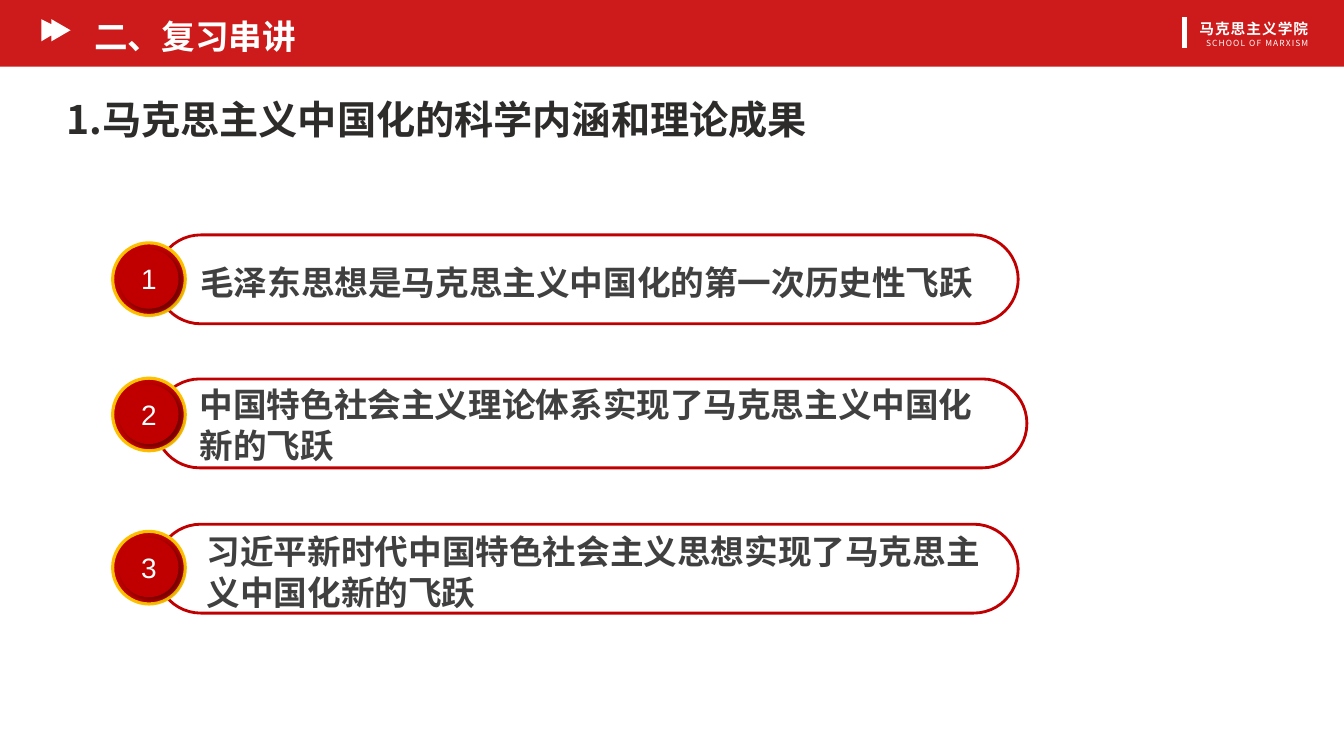
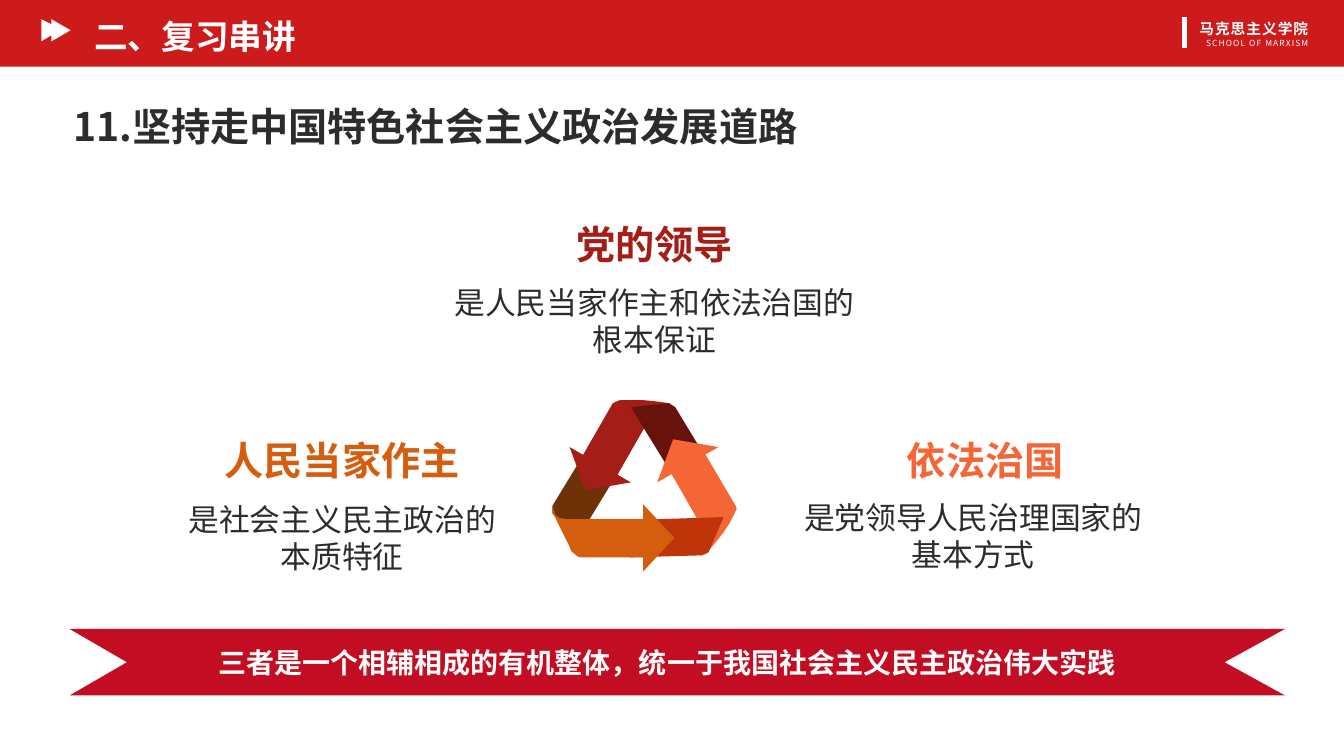
import dataclasses

import lxml.etree
import pptx
import pptx.dml.color
import pptx.enum.shapes
import pptx.enum.text
import pptx.oxml.ns
import pptx.util

Cm = pptx.util.Cm
Pt = pptx.util.Pt
qn = pptx.oxml.ns.qn
SHAPE = pptx.enum.shapes.MSO_SHAPE
ALIGN = pptx.enum.text.PP_ALIGN
ANCHOR = pptx.enum.text.MSO_ANCHOR


@dataclasses.dataclass(frozen=True)
class Theme:
    # Colours
    band: str = "CD1A1A"
    white: str = "FFFFFF"
    ink: str = "2E2B2B"
    item_ink: str = "404040"
    outline: str = "C00000"
    gold: str = "FFC000"
    ribbon: str = "C30D23"
    red: str = "A41D16"
    dark_red: str = "68120E"
    orange: str = "D55D0E"
    brown: str = "6F3107"
    coral: str = "F56637"
    rust: str = "BF3409"
    # Fonts and type sizes
    font: str = "Noto Sans CJK SC"
    number_font: str = "Arial"
    title: int = 28
    section: int = 24
    item: int = 24
    body: int = 22
    summary: int = 20
    number: int = 20
    school: float = 10.5
    school_small: int = 6


THEME = Theme()
# Outline points are counted on a fine grid
GRID = Cm(0.0254)
INSET = (0.25, 0.13)

# Folded arrows of the cycle: tail, arrowhead (left, top, width, height, turn), body, fold
CYCLE = [
    (THEME.brown, [(618, 461), (571, 538), (548, 509), (548, 502), (584, 443)],
     THEME.red, (14.05, 11.66, 1.78, 0.74, 210),
     [(607, 481), (643, 418), (626, 408), (608, 400), (573, 461)],
     [(641, 421), (607, 402), (610, 399), (615, 397), (626, 397), (638, 397),
      (649, 398), (664, 400), (670, 404), (664, 401), (659, 401), (654, 403),
      (649, 408)]),
    (THEME.dark_red, [(674, 482), (626, 404), (663, 400), (670, 404), (707, 465)],
     THEME.coral, (16.26, 11.02, 1.78, 0.74, 330),
     [(661, 461), (697, 524), (714, 514), (730, 502), (694, 441)],
     [(696, 521), (730, 502), (731, 505), (729, 509), (724, 519), (718, 528),
      (711, 537), (701, 549), (695, 552), (701, 548), (704, 542), (705, 539),
      (704, 536)]),
    (THEME.rust, [(626, 516), (718, 513), (703, 548), (696, 551), (625, 553)],
     THEME.orange, (15.75, 13.16, 1.7, 0.79, 90),
     [(651, 515), (574, 515), (574, 535), (576, 553), (651, 553)],
     [(576, 515), (576, 553), (573, 552), (567, 547), (564, 540), (559, 530),
      (554, 520), (548, 507), (548, 503), (549, 500), (549, 505), (551, 511),
      (555, 514), (562, 515)]),
]


def rgb(color):
    return pptx.dml.color.RGBColor.from_string(color)


def apply(target, values):
    for name, value in values.items():
        setattr(target, name, value)


def paint(shape, fill=None, line=None, width=0):
    shape.shadow.inherit = False
    if fill:
        shape.fill.solid()
        shape.fill.fore_color.rgb = rgb(fill)
    else:
        shape.fill.background()
    if line:
        shape.line.color.rgb = rgb(line)
        shape.line.width = Pt(width)
    else:
        shape.line.fill.background()


def add_preset(slide, kind, box, **colors):
    shape = slide.shapes.add_shape(kind, *map(Cm, box))
    paint(shape, **colors)
    return shape


def add_outline(slide, points, fill):
    builder = slide.shapes.build_freeform(*points[0], scale=GRID)
    builder.add_line_segments(points[1:], close=True)
    paint(builder.convert_to_shape(), fill)


def add_paragraph(paragraph, text, size, color, bold=False, font=THEME.font,
                  align=ALIGN.LEFT, spacing=None, tracking=None):
    apply(paragraph, {"alignment": align, "line_spacing": spacing})
    run = paragraph.add_run()
    run.text = text
    apply(run.font, {"size": Pt(size), "bold": bold, "name": font})
    run.font.color.rgb = rgb(color)
    properties = run._r.get_or_add_rPr()
    lxml.etree.SubElement(properties, qn("a:ea"), typeface=font)
    if tracking:
        properties.set("spc", str(tracking))


def add_text(slide, box, *lines, inset=INSET, wrap=True, anchor=ANCHOR.TOP, **style):
    """Each line is a dict of paragraph settings on top of the shared style."""
    frame = slide.shapes.add_textbox(*map(Cm, box)).text_frame
    side, edge = map(Cm, inset)
    apply(frame, {"word_wrap": wrap, "vertical_anchor": anchor,
                  "margin_left": side, "margin_right": side,
                  "margin_top": edge, "margin_bottom": edge})
    for index, line in enumerate(lines):
        paragraph = frame.add_paragraph() if index else frame.paragraphs[0]
        add_paragraph(paragraph, **{**style, **line})


def add_drop_shadow(shape):
    effects = shape._element.spPr.find(qn("a:effectLst"))
    shadow = lxml.etree.SubElement(
        effects, qn("a:outerShdw"), blurRad=str(Pt(4)), dist=str(Pt(3)),
        dir=str(45 * 60000), algn="tl", rotWithShape="0")
    black = lxml.etree.SubElement(shadow, qn("a:srgbClr"), val="000000")
    lxml.etree.SubElement(black, qn("a:alpha"), val="40000")


def add_header(slide):
    # Band with double arrow and section name
    add_preset(slide, SHAPE.RECTANGLE, (0, 0, 33.87, 1.68), fill=THEME.band)
    add_text(slide, (2.13, -0.03, 20.09, 1.45), {"text": "二、复习串讲"},
             size=THEME.section, color=THEME.white, bold=True, spacing=1.3)
    add_outline(slide, [(41, 19), (51, 24), (51, 19), (70, 30), (51, 41), (51, 35),
                        (41, 41)], THEME.white)
    # School name with its rule
    add_text(slide, (27.41, 0.41, 5.79, 0.91),
             {"text": "马克思主义学院", "size": THEME.school, "bold": True},
             {"text": "SCHOOL OF MARXISM", "size": THEME.school_small},
             inset=(0.23, 0.1), color=THEME.white, align=ALIGN.RIGHT, tracking=80)
    rule = slide.shapes.add_connector(
        pptx.enum.shapes.MSO_CONNECTOR.STRAIGHT,
        *map(Cm, (29.85, 0.43, 29.85, 1.22)))
    rule.line.color.rgb = rgb(THEME.white)
    rule.line.width = Pt(3)
    lxml.etree.SubElement(rule._element.spPr, qn("a:effectLst"))


def add_topic_slide(deck, title, title_box):
    slide = deck.slides.add_slide(deck.slide_layouts[6])
    add_header(slide)
    add_text(slide, title_box, {"text": title}, size=THEME.title, color=THEME.ink,
             bold=True, align=ALIGN.CENTER, anchor=ANCHOR.MIDDLE)
    return slide


def add_badge(slide, number, top, left=2.84):
    add_preset(slide, SHAPE.OVAL, (left, top, 1.83, 1.83),
               fill=THEME.outline, line=THEME.gold, width=2.25)
    add_drop_shadow(add_preset(slide, SHAPE.OVAL, (left + 0.16, top + 0.16, 1.5, 1.5),
                               fill=THEME.outline))
    add_text(slide, (left + 0.28, top + 0.48, 1.27, 0.86), {"text": str(number)},
             inset=(0, 0), size=THEME.number, color=THEME.white,
             font=THEME.number_font, align=ALIGN.CENTER)


def add_item(slide, number, text, pill, badge_top, text_box):
    capsule = add_preset(slide, SHAPE.ROUNDED_RECTANGLE, (*pill, 2.24),
                         line=THEME.outline, width=2)
    capsule.adjustments[0] = 0.5
    add_badge(slide, number, badge_top)
    add_text(slide, text_box, {"text": text}, inset=(0, 0), size=THEME.item,
             color=THEME.item_ink, bold=True, align=ALIGN.JUSTIFY)


def add_pillar(slide, heading, color, heading_box, body, body_box):
    add_text(slide, (*heading_box, 1.45), {"text": heading}, wrap=False,
             size=THEME.title, color=color, bold=True, align=ALIGN.CENTER)
    add_text(slide, (*body_box, 2.13), {"text": body}, size=THEME.body,
             color=THEME.ink, align=ALIGN.CENTER)


def add_cycle(slide):
    for tail_color, tail, color, (*head_box, turn), body, fold in CYCLE:
        add_outline(slide, tail, tail_color)
        head = add_preset(slide, SHAPE.ISOSCELES_TRIANGLE, head_box, fill=color)
        head.rotation = turn
        add_outline(slide, body, color)
        add_outline(slide, fold, color)


def add_ribbon(slide, text):
    add_outline(slide, [(69, 624), (1275, 624), (1215, 657), (1275, 690), (69, 690),
                        (126, 657)], THEME.ribbon)
    add_text(slide, (1.5, 16.13, 30.63, 1.12), {"text": text}, size=THEME.summary,
             color=THEME.white, bold=True, align=ALIGN.CENTER)


def main():
    deck = pptx.Presentation()
    apply(deck, {"slide_width": Cm(33.87), "slide_height": Cm(19.05)})

    # Three leaps
    leaps = add_topic_slide(deck, "1.马克思主义中国化的科学内涵和理论成果",
                            (0.64, 2.26, 20.73, 1.45))
    items = [
        ("毛泽东思想是马克思主义中国化的第一次历史性飞跃",
         (3.94, 5.92, 21.72), 6.12, (5.05, 6.6, 19.48, 1.02)),
        ("中国特色社会主义理论体系实现了马克思主义中国化新的飞跃",
         (3.91, 9.55, 21.97), 9.53, (5.03, 9.68, 19.48, 2.06)),
        ("习近平新时代中国特色社会主义思想实现了马克思主义中国化新的飞跃",
         (3.94, 13.21, 21.72), 13.39, (5.21, 13.39, 19.48, 2.06)),
    ]
    for number, item in enumerate(items, start=1):
        add_item(leaps, number, *item)

    # Three pillars around a cycle
    path = add_topic_slide(deck, "11.坚持走中国特色社会主义政治发展道路",
                           (1.04, 2.44, 19.86, 1.45))
    pillars = [
        ("党的领导", THEME.red, (14.25, 5.41, 4.5),
         "是人民当家作主和依法治国的根本保证", (11.18, 7.01, 10.62)),
        ("人民当家作主", THEME.orange, (5.38, 10.87, 6.48),
         "是社会主义民主政治的本质特征", (4.27, 12.5, 8.71)),
        ("依法治国", THEME.coral, (22.58, 10.87, 4.5),
         "是党领导人民治理国家的基本方式", (19.76, 12.45, 9.53)),
    ]
    for pillar in pillars:
        add_pillar(path, *pillar)
    add_ribbon(path, "三者是一个相辅相成的有机整体，统一于我国社会主义民主政治伟大实践")
    add_cycle(path)

    deck.save("out.pptx")


if __name__ == "__main__":
    main()
